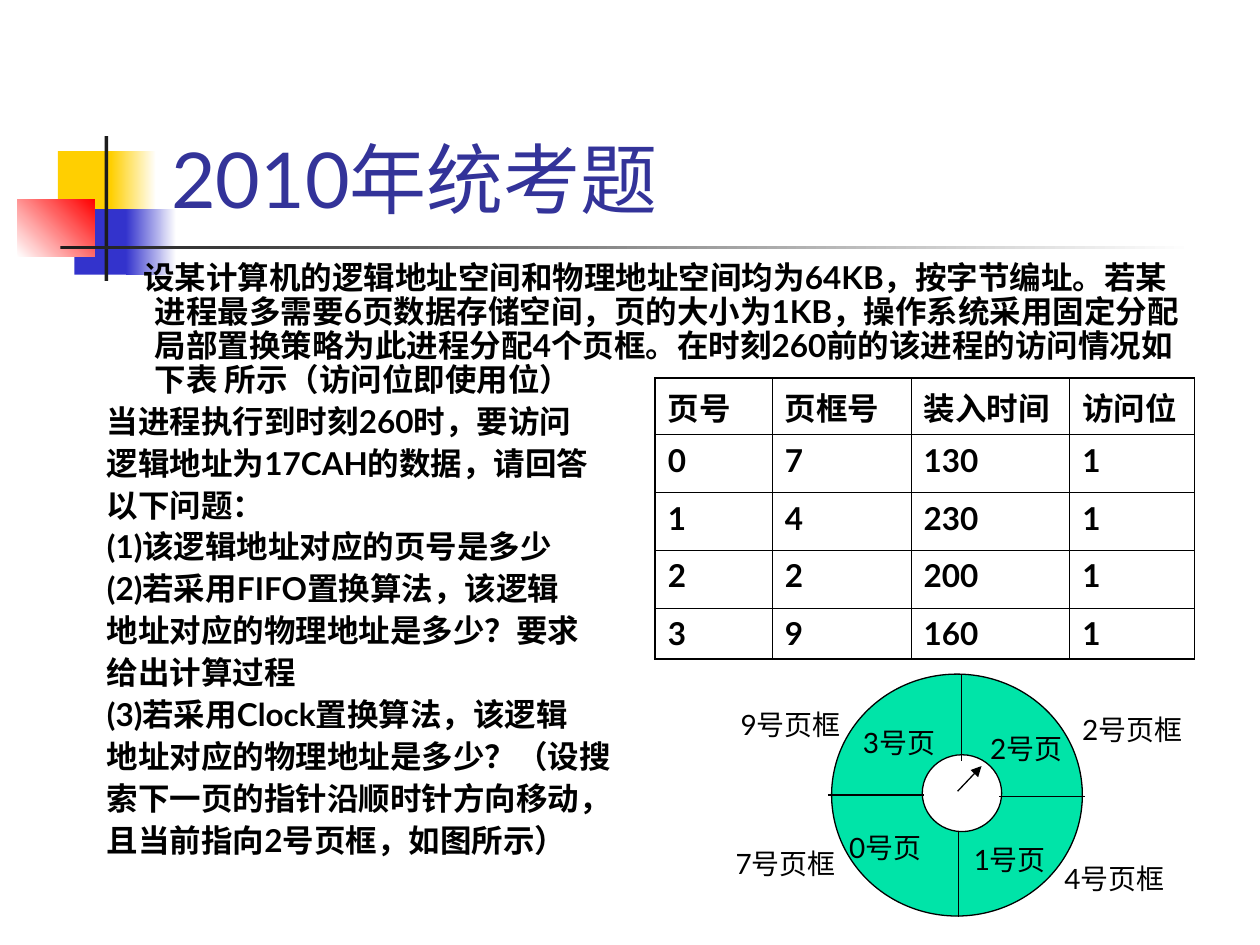
from dataclasses import dataclass

from pptx import Presentation
from pptx.dml.color import RGBColor as Rgb
from pptx.enum.shapes import MSO_CONNECTOR as Conn, MSO_SHAPE as Kind
from pptx.enum.text import MSO_ANCHOR as Anchor
from pptx.oxml.ns import qn
from pptx.oxml.xmlchemy import OxmlElement as Node
from pptx.util import Pt

SCALE = 9144
FONT = "Lato"
HUES = {
    "gold": "FFCF01", "blue": "3333CC", "red": "FF0000", "dark": "1C1C1C",
    "white": "FFFFFF", "black": "000000", "title": "333399", "green": "00E4A8",
}


@dataclass
class Box:
    x: int
    y: int
    w: int
    h: int

    def emu(self) -> tuple:
        return tuple(px(v) for v in (self.x, self.y, self.w, self.h))


@dataclass
class Block:
    box: Box
    hue: str
    end: str = ""
    angle: int = 0


@dataclass
class Line:
    x1: int
    y1: int
    x2: int
    y2: int
    arrow: bool = False


@dataclass
class Label:
    text: str
    box: Box


def px(n: int) -> int:
    return n * SCALE


def rgb(hue: str) -> Rgb:
    return Rgb.from_string(HUES[hue])


def style(para, size: int, hue: str = "black", bold: bool = False) -> None:
    font = para.font
    font.name, font.size, font.bold = FONT, Pt(size), bold
    font.color.rgb = rgb(hue)


def draw_block(slide, block: Block) -> None:
    shape = slide.shapes.add_shape(Kind.RECTANGLE, *block.box.emu())
    shape.shadow.inherit = False
    shape.line.fill.background()
    fill = shape.fill
    if block.end:
        fill.gradient()
        fill.gradient_angle = block.angle
        for stop, hue in zip(fill.gradient_stops, (block.hue, block.end)):
            stop.color.rgb = rgb(hue)
    else:
        fill.solid()
        fill.fore_color.rgb = rgb(block.hue)


def draw_ring(slide, box: Box, hue: str) -> None:
    shape = slide.shapes.add_shape(Kind.OVAL, *box.emu())
    shape.shadow.inherit = False
    shape.fill.solid()
    shape.fill.fore_color.rgb = rgb(hue)
    shape.line.color.rgb = rgb("black")
    shape.line.width = Pt(0.75)


def draw_line(slide, line: Line) -> None:
    ends = (px(v) for v in (line.x1, line.y1, line.x2, line.y2))
    conn = slide.shapes.add_connector(Conn.STRAIGHT, *ends)
    conn.line.color.rgb = rgb("black")
    conn.line.width = Pt(0.75)
    if line.arrow:
        tip = Node("a:tailEnd")
        tip.set("type", "triangle")
        conn.line._get_or_add_ln().append(tip)
    conn._element.spPr.append(Node("a:effectLst"))


def add_frame(slide, box: Box):
    frame = slide.shapes.add_textbox(*box.emu()).text_frame
    frame.word_wrap = True
    return frame


def draw_label(slide, label: Label) -> None:
    frame = add_frame(slide, label.box)
    frame.text = label.text
    style(frame.paragraphs[0], 16)


def draw_title(slide, label: Label) -> None:
    frame = add_frame(slide, label.box)
    frame.vertical_anchor = Anchor.BOTTOM
    frame.text = label.text
    style(frame.paragraphs[0], 44, "title")


def draw_body(slide, box: Box, lines: list[str]) -> None:
    frame = add_frame(slide, box)
    frame.text = "\n".join(lines)
    for i, para in enumerate(frame.paragraphs):
        style(para, 18, bold=True)
        para.line_spacing = 0.9
        para.space_before = Pt(4.5)
        props = para._p.get_or_add_pPr()
        props.set("marL", str(px(38)))
        props.set("indent", str(px(-38 if i else -9)))


def add_edge(cell, side: str, width: float) -> None:
    edge = Node(f"a:ln{side}")
    edge.set("w", str(Pt(width)))
    fill, color = Node("a:solidFill"), Node("a:srgbClr")
    color.set("val", HUES["black"])
    fill.append(color)
    edge.append(fill)
    cell._tc.get_or_add_tcPr().append(edge)


def draw_table(slide, box: Box, rows: list, wide: list, high: list) -> None:
    frame = slide.shapes.add_table(len(rows), len(wide), *box.emu())
    table = frame.table
    table.first_row = table.horz_banding = False
    frame._element.find(".//" + qn("a:tableStyleId")).text = (
        "{2D5ABB26-0587-4C30-8999-92F81FD0307C}")
    for col, w in zip(table.columns, wide):
        col.width = px(w)
    for r, (row, h) in enumerate(zip(rows, high)):
        table.rows[r].height = px(h)
        for c, text in enumerate(row):
            cell = table.cell(r, c)
            cell.text = text
            para = cell.text_frame.paragraphs[0]
            style(para, 18, bold=True)
            para.space_before = Pt(4.5)
            outer = {"L": c == 0, "R": c == len(wide) - 1,
                     "T": r == 0, "B": r == len(rows) - 1}
            for side, rim in outer.items():
                add_edge(cell, side, 1.08 if rim else 0.45)
            cell.fill.background()


BLOCKS = [
    Block(Box(46, 120, 48, 52), "gold"),
    Block(Box(88, 120, 36, 52), "gold", "white"),
    Block(Box(59, 166, 46, 52), "blue"),
    Block(Box(100, 166, 40, 52), "blue", "white"),
    Block(Box(14, 158, 61, 46), "white", "red", 45),
    Block(Box(83, 108, 3, 115), "dark"),
    Block(Box(48, 195, 900, 3), "dark", "white"),
]
TITLE = Label("2010年统考题", Box(126, 23, 852, 160))
BODY = [
    "设某计算机的逻辑地址空间和物理地址空间均为64KB，按字节编址。若某进程最多需要6页数据存储空间，"
    "页的大小为1KB，操作系统采用固定分配局部置换策略为此进程分配4个页框。"
    "在时刻260前的该进程的访问情况如下表 所示（访问位即使用位）",
    "当进程执行到时刻260时，要访问",
    "逻辑地址为17CAH的数据，请回答",
    "以下问题：",
    "(1)该逻辑地址对应的页号是多少",
    "(2)若采用FIFO置换算法，该逻辑",
    "地址对应的物理地址是多少？要求",
    "给出计算过程",
    "(3)若采用Clock置换算法，该逻辑",
    "地址对应的物理地址是多少？（设搜",
    "索下一页的指针沿顺时针方向移动，",
    "且当前指向2号页框，如图所示）",
]
ROWS = [
    ["页号", "页框号", "装入时间", "访问位"],
    ["0", "7", "130", "1"],
    ["1", "4", "230", "1"],
    ["2", "2", "200", "1"],
    ["3", "9", "160", "1"],
]
RINGS = [(Box(660, 535, 199, 192), "green"), (Box(732, 599, 63, 61), "white")]
LINES = [
    Line(763, 535, 763, 604),
    Line(793, 632, 861, 632),
    Line(761, 660, 761, 728),
    Line(657, 631, 733, 631),
    Line(760, 628, 779, 608, True),
]
LABELS = [
    Label("2号页", Box(776, 576, 89, 37)),
    Label("1号页", Box(763, 664, 89, 37)),
    Label("3号页", Box(675, 571, 89, 37)),
    Label("0号页", Box(664, 654, 89, 37)),
    Label("2号页框", Box(849, 561, 112, 37)),
    Label("4号页框", Box(835, 679, 124, 37)),
    Label("9号页框", Box(578, 557, 112, 37)),
    Label("7号页框", Box(574, 667, 108, 37)),
]


def main() -> None:
    deck = Presentation()
    deck.slide_width, deck.slide_height = px(1000), px(750)
    slide = deck.slides.add_slide(deck.slide_layouts[6])
    for block in BLOCKS:
        draw_block(slide, block)
    draw_title(slide, TITLE)
    draw_body(slide, Box(75, 203, 871, 515), BODY)
    draw_table(slide, Box(520, 300, 428, 223), ROWS,
               [93, 110, 126, 99], [45, 46, 46, 46, 40])
    for box, hue in RINGS:
        draw_ring(slide, box, hue)
    for line in LINES:
        draw_line(slide, line)
    for label in LABELS:
        draw_label(slide, label)
    deck.save("out.pptx")


if __name__ == "__main__":
    main()
